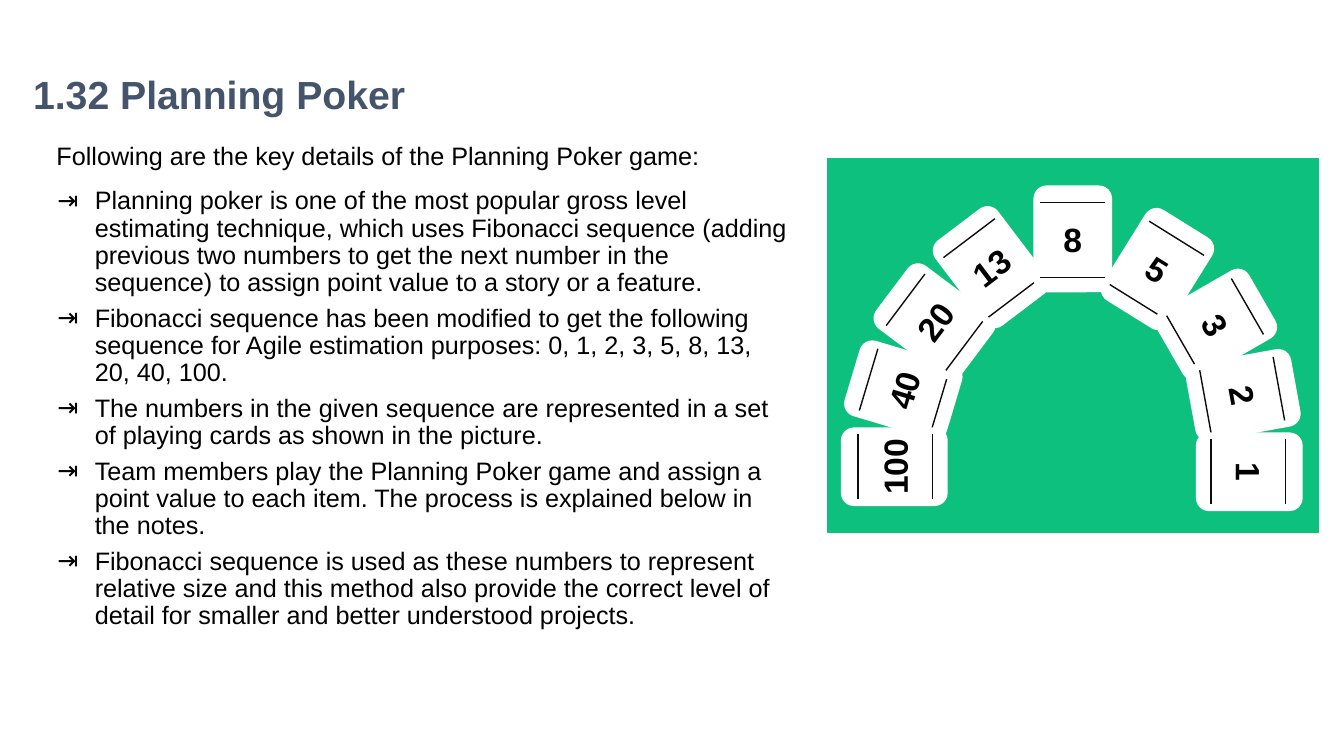
import math

import lxml.etree
import pptx
import pptx.dml.color
import pptx.enum.shapes
import pptx.enum.text
import pptx.oxml.ns
import pptx.util

Inches = pptx.util.Inches
Pt = pptx.util.Pt
Shapes = pptx.enum.shapes.MSO_SHAPE
Anchor = pptx.enum.text.MSO_ANCHOR

FONT = "Arial"
COLORS = {"title": "44546A", "text": "000000", "table": "0EC07D", "card": "FFFFFF", "rule": "0D0D0D"}
CARD_WIDTH, CARD_HEIGHT = 0.78, 1.06
RULE_HALF_WIDTH = 0.32
RULE_OFFSETS = (-0.36, 0.38)

INTRO = "Following are the key details of the Planning Poker game:"
DETAILS = [
    "Planning poker is one of the most popular gross level estimating technique, which uses Fibonacci sequence "
    "(adding previous two numbers to get the next number in the sequence) to assign point value to a story or a feature.",
    "Fibonacci sequence has been modified to get the following sequence for Agile estimation purposes: "
    "0, 1, 2, 3, 5, 8, 13, 20, 40, 100.",
    "The numbers in the given sequence are represented in a set of playing cards as shown in the picture.",
    "Team members play the Planning Poker game and assign a point value to each item. "
    "The process is explained below in the notes.",
    "Fibonacci sequence is used as these numbers to represent relative size and this method also provide "
    "the correct level of detail for smaller and better understood projects.",
]
CARDS = [
    ("40", 8.96, 3.87, 286.7),
    ("100", 8.87, 4.63, 270),
    ("20", 9.27, 3.19, 306.9),
    ("13", 9.83, 2.65, 322.9),
    ("8", 10.64, 2.37, 0),
    ("5", 11.48, 2.67, 31.9),
    ("3", 12.06, 3.22, 60.1),
    ("2", 12.33, 3.92, 79.7),
    ("1", 12.39, 4.68, 90),
]


def rgb(name):
    return pptx.dml.color.RGBColor.from_string(COLORS[name])


def add_span(para, text, size, color="text", bold=False):
    span = para.add_run()
    span.text = text
    span.font.name = FONT
    span.font.size = Pt(size)
    span.font.bold = bold
    span.font.color.rgb = rgb(color)


def set_insets(frame, left, top, right, bottom):
    frame.margin_left, frame.margin_top = Inches(left), Inches(top)
    frame.margin_right, frame.margin_bottom = Inches(right), Inches(bottom)


def add_frame(page, left, top, width, height, insets, anchor):
    box = page.shapes.add_textbox(Inches(left), Inches(top), Inches(width), Inches(height))
    frame = box.text_frame
    frame.word_wrap = True
    frame.vertical_anchor = anchor
    set_insets(frame, *insets)
    return frame


def add_bullet(para):
    properties = para._p.get_or_add_pPr()
    properties.set("marL", str(Inches(0.38)))
    properties.set("indent", str(-Inches(0.37)))
    tag = pptx.oxml.ns.qn
    color = lxml.etree.SubElement(properties, tag("a:buClr"))
    lxml.etree.SubElement(color, tag("a:srgbClr"), val=COLORS["text"])
    lxml.etree.SubElement(properties, tag("a:buFont"), typeface=FONT)
    lxml.etree.SubElement(properties, tag("a:buChar"), char="⇥")


def add_title(page, text):
    frame = add_frame(page, 0.23, 0.69, 11.5, 0.54, (0.1, 0.05, 0.1, 0.05), Anchor.MIDDLE)
    para = frame.paragraphs[0]
    para.line_spacing = 0.9
    add_span(para, text, 28, "title", True)


def add_body(page, intro, details):
    frame = add_frame(page, 0.56, 1.43, 7.35, 5.29, (0, 0, 0.1, 0.05), Anchor.TOP)
    para = frame.paragraphs[0]
    para.line_spacing = 0.9
    para.space_after = Pt(6)
    add_span(para, intro, 18)
    for detail in details:
        para = frame.add_paragraph()
        add_bullet(para)
        para.line_spacing = 0.9
        para.space_before = Pt(6)
        add_span(para, detail, 18)


def add_block(page, kind, left, top, width, height, color):
    block = page.shapes.add_shape(kind, Inches(left), Inches(top), Inches(width), Inches(height))
    block.shadow.inherit = False
    block.fill.solid()
    block.fill.fore_color.rgb = rgb(color)
    block.line.fill.background()
    return block


def add_table_top(page):
    table_top = add_block(page, Shapes.RECTANGLE, 8.21, 1.57, 4.87, 3.71, "table")
    table_top.line.color.rgb = rgb("table")
    table_top.line.width = Pt(1)


def add_rule(page, start, end):
    points = [Inches(value) for value in (*start, *end)]
    rule = page.shapes.add_connector(pptx.enum.shapes.MSO_CONNECTOR.STRAIGHT, *points)
    rule.line.color.rgb = rgb("rule")
    rule.line.width = Pt(1)
    lxml.etree.SubElement(rule._element.spPr, pptx.oxml.ns.qn("a:effectLst"))


def add_card(page, value, center_x, center_y, rotation):
    left, top = center_x - CARD_WIDTH / 2, center_y - CARD_HEIGHT / 2
    card = add_block(page, Shapes.ROUNDED_RECTANGLE, left, top, CARD_WIDTH, CARD_HEIGHT, "card")
    card.rotation = rotation
    frame = card.text_frame
    frame.vertical_anchor = Anchor.MIDDLE
    set_insets(frame, 0, 0, 0, 0)
    para = frame.paragraphs[0]
    para.alignment = pptx.enum.text.PP_ALIGN.CENTER
    add_span(para, value, 24, bold=True)

    cosine, sine = math.cos(math.radians(rotation)), math.sin(math.radians(rotation))
    for offset in RULE_OFFSETS:
        ends = [
            (center_x + across * cosine - offset * sine, center_y + across * sine + offset * cosine)
            for across in (-RULE_HALF_WIDTH, RULE_HALF_WIDTH)
        ]
        add_rule(page, *ends)


def main():
    deck = pptx.Presentation()
    deck.slide_width, deck.slide_height = Inches(13.33), Inches(7.5)
    page = deck.slides.add_slide(deck.slide_layouts[6])
    add_title(page, "1.32 Planning Poker")
    add_body(page, INTRO, DETAILS)
    add_table_top(page)
    for card in CARDS:
        add_card(page, *card)
    deck.save("out.pptx")


if __name__ == "__main__":
    main()
